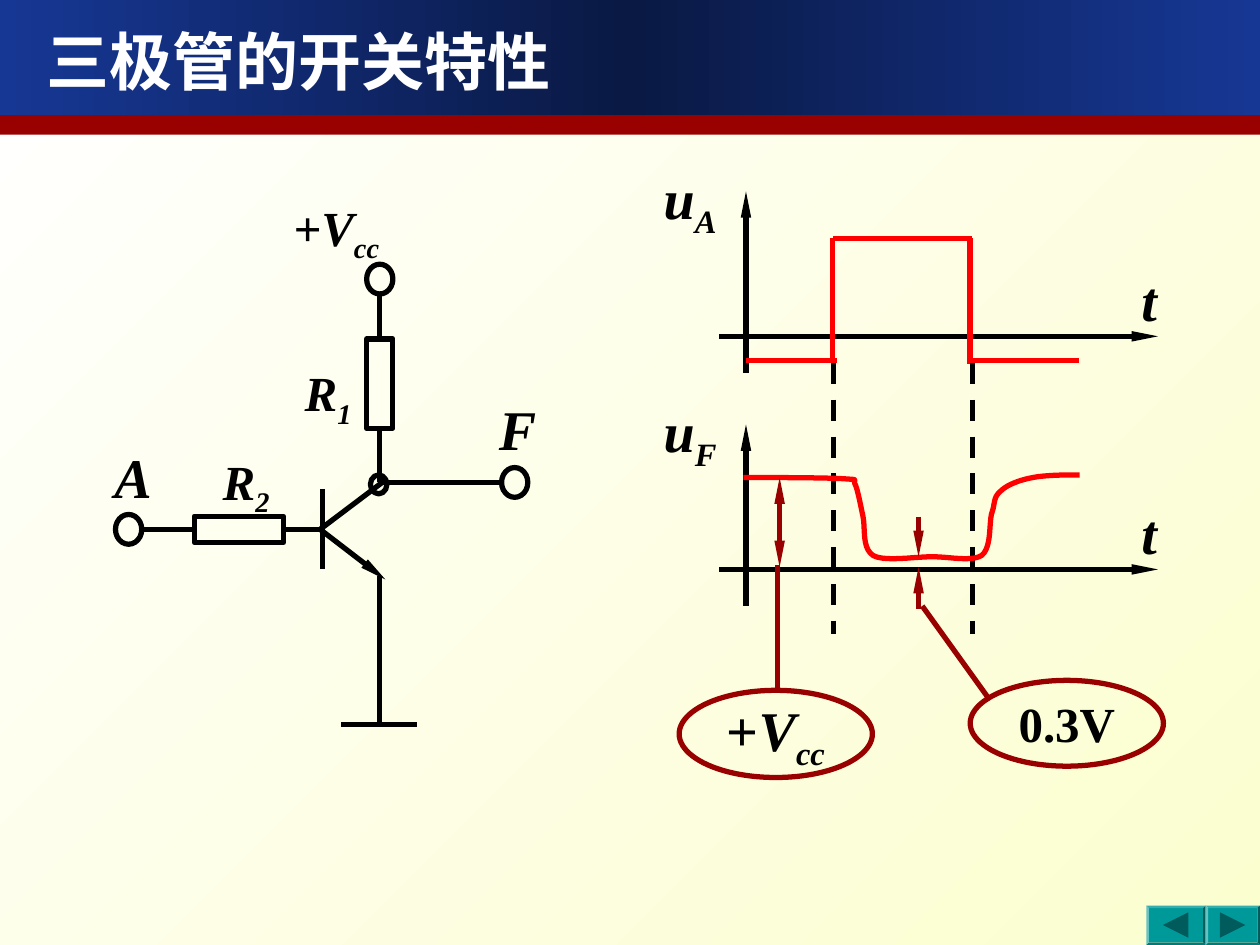
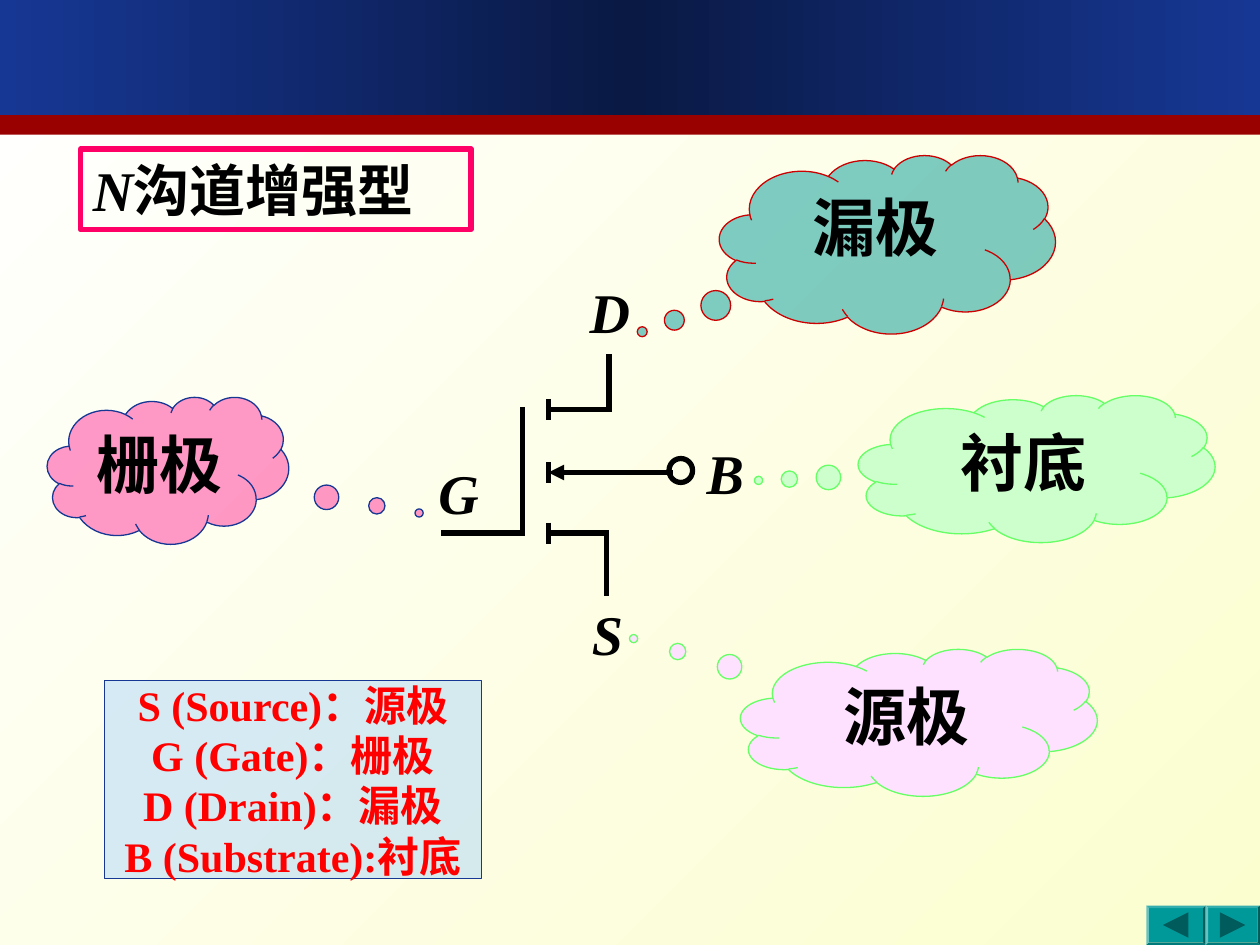
import copy
import dataclasses
import pptx
import pptx.dml.color
import pptx.enum.dml
import pptx.enum.shapes
import pptx.enum.text
import pptx.oxml.ns
import pptx.util
from lxml import etree

Pt = pptx.util.Pt
Shape = pptx.enum.shapes.MSO_SHAPE
Align = pptx.enum.text.PP_ALIGN
Anchor = pptx.enum.text.MSO_ANCHOR
qn = pptx.oxml.ns.qn
rgb = pptx.dml.color.RGBColor.from_string


@dataclasses.dataclass(frozen=True)
class Theme:
    font: str = "Times New Roman"
    black: str = "000000"
    white: str = "FFFFFF"
    cream: str = "FBFECE"
    navy: str = "163794"
    deep_navy: str = "0A1944"
    dark_red: str = "990000"
    red: str = "FF0000"
    cloud_red: str = "CC0000"
    pink: str = "FF0066"
    rose: str = "FF3399"
    lilac: str = "FEE1FF"
    teal: str = "009999"
    dark_teal: str = "005C5C"
    green: str = "66FF66"
    mint: str = "CCFFCC"
    sky: str = "99CCFF"
    title_size: int = 36
    label_size: int = 32
    part_size: int = 28
    legend_size: int = 24
    stroke: float = 3
    thin: float = 0.75


theme = Theme()


def draw_line(slide, start, end, color=theme.black, head=False, tail=False,
              dashed=False, arrow=("sm", "lg")):
    """Straight connector; arrow is the width and length of its arrowheads."""
    connector = slide.shapes.add_connector(
        pptx.enum.shapes.MSO_CONNECTOR.STRAIGHT, *map(Pt, start + end))
    connector.line.color.rgb = rgb(color)
    connector.line.width = Pt(theme.stroke)
    if dashed:
        connector.line.dash_style = pptx.enum.dml.MSO_LINE.DASH
    properties = connector._element.spPr
    for wanted, tag in ((head, "a:headEnd"), (tail, "a:tailEnd")):
        if wanted:
            etree.SubElement(properties.find(qn("a:ln")), qn(tag),
                             type="triangle", w=arrow[0], len=arrow[1])
    etree.SubElement(properties, qn("a:effectLst"))
    return connector


def draw_shape(slide, kind, box, fill=None, alpha=None, line=None, width=theme.stroke,
               text=(), size=theme.label_size, color=theme.black, italic=False,
               align=Align.LEFT, anchor=Anchor.TOP, wrap=True):
    """Preset shape, or a text box if kind is None.

    text holds paragraphs; each is a list of (words, font changes) runs.
    """
    box = [Pt(length) for length in box]
    if kind is None:
        shape = slide.shapes.add_textbox(*box)
    else:
        shape = slide.shapes.add_shape(kind, *box)
        shape.shadow.inherit = False
        shape.fill.background()
        shape.line.fill.background()
    if fill:
        shape.fill.solid()
        shape.fill.fore_color.rgb = rgb(fill)
    if alpha:
        fill_color = shape._element.spPr.find(qn("a:solidFill"))[0]
        etree.SubElement(fill_color, qn("a:alpha"), val=str(alpha * 1000))
    if line:
        shape.line.color.rgb = rgb(line)
        shape.line.width = Pt(width)
    frame = shape.text_frame
    frame.word_wrap = wrap
    frame.vertical_anchor = anchor
    for index, runs in enumerate(text):
        paragraph = frame.add_paragraph() if index else frame.paragraphs[0]
        paragraph.alignment = align
        paragraph.font.name = theme.font
        paragraph.font.size = Pt(size)
        paragraph.font.bold = True
        paragraph.font.italic = italic
        paragraph.font.color.rgb = rgb(color)
        for words, change in runs:
            run = paragraph.add_run()
            run.text = words
            if change == "subscript":
                run._r.get_or_add_rPr().set("baseline", "-25000")
            elif change == "upright":
                run.font.italic = False
    return shape


presentation = pptx.Presentation()
presentation.slide_width, presentation.slide_height = Pt(720), Pt(540)

# Shared background
background = presentation.slide_master.background.fill
background.gradient()
background.gradient_angle = 315
for stop, color in zip(background.gradient_stops, (theme.white, theme.cream)):
    stop.color.rgb = rgb(color)

# Shared bands and navigation buttons
blank_layout = presentation.slide_layouts[6]
switch_slide, mosfet_slide = [presentation.slides.add_slide(blank_layout) for _ in range(2)]
for slide in (switch_slide, mosfet_slide):
    band = draw_shape(slide, Shape.RECTANGLE, (0, 0, 720, 65.8))
    band.fill.gradient()
    band.fill.gradient_angle = 0
    for stop, color in zip(band.fill.gradient_stops, (theme.navy, theme.deep_navy)):
        stop.color.rgb = rgb(color)
    stops = band._element.spPr.find(qn("a:gradFill")).find(qn("a:gsLst"))
    stops.append(copy.deepcopy(stops[0]))
    for stop, position in zip(stops, (0, 50000, 100000)):
        stop.set("pos", str(position))
    draw_shape(slide, Shape.RECTANGLE, (0, 65.8, 720, 11.2), fill=theme.dark_red)
    for left, width, arrow_left, turn in ((655, 34, 664.5, 270), (689, 31, 697, 90)):
        button = draw_shape(slide, Shape.BEVEL, (left, 517.5, width, 22.5), fill=theme.teal)
        button.adjustments[0] = 0.065
        triangle = draw_shape(slide, Shape.ISOSCELES_TRIANGLE, (arrow_left, 521.3, 14.6, 14.6),
                              fill=theme.dark_teal)
        triangle.rotation = turn

# Slide 1: title
slide = switch_slide
draw_shape(slide, None, (19.4, 9.4, 322, 50.4), text=[[("三极管的开关特性", None)]],
           size=theme.title_size, color=theme.white)

# Transistor, wires and ground
for start, end in (
    ((184.3, 279.4), (184.3, 325.4)),
    ((182.9, 302.5), (220.3, 274.3)),
    ((216, 275.7), (286.6, 275.7)),
    ((217, 329), (217, 414)),
    ((195, 414), (238.3, 414)),
):
    draw_line(slide, start, end)
draw_line(slide, (182.9, 302.5), (220.3, 331.2), tail=True)

# Collector node and the terminals A, F and supply
for box in ((211.7, 271.4, 9.4, 10.8), (66, 294, 15, 17),
            (286.6, 267.2, 15, 17), (209.5, 151, 15, 17)):
    draw_shape(slide, Shape.OVAL, box, line=theme.black)

# Resistors joined to their leads
collector_resistor = draw_shape(slide, Shape.RECTANGLE, (209.5, 193.7, 15, 51), line=theme.black)
base_resistor = draw_shape(slide, Shape.RECTANGLE, (111, 295, 51, 15), line=theme.black)
for resistor, side, start, end in (
    (collector_resistor, 0, (217, 168), (217, 193.7)),
    (collector_resistor, 2, (217, 275.7), (217, 244.7)),
    (base_resistor, 1, (81, 302.5), (111, 302.5)),
    (base_resistor, 3, (182.9, 302.5), (162, 302.5)),
):
    draw_line(slide, start, end).end_connect(resistor, side)

# Circuit labels
for words, subscript, size, box in (
    ("R", "1", theme.part_size, (167, 203.8, 46.8, 45.4)),
    ("R", "2", theme.part_size, (120.2, 254.2, 46.8, 45.4)),
    ("+V", "cc", theme.part_size, (160.6, 109.4, 90, 45.4)),
    ("A", "", theme.label_size, (58.3, 249.1, 36.7, 46)),
    ("F", "", theme.label_size, (278, 221.8, 47.5, 46)),
):
    runs = [(words, None)] + ([(subscript, "subscript")] if subscript else [])
    draw_shape(slide, None, box, text=[runs], size=size, italic=True)

# Axes of the input and output waveforms
for axis_y, signal in ((192.2, "A"), (325.4, "F")):
    draw_line(slide, (411.1, axis_y), (661.7, axis_y), tail=True)
    draw_line(slide, (426.3, axis_y + 20.9), (426.3, axis_y - 82.8), tail=True)
    draw_shape(slide, None, (372.2, axis_y - 102.2, 57, 51), italic=True,
               text=[[("u", None), (signal, "subscript")]])
    draw_shape(slide, None, (645.1, axis_y - 43.8, 74.9, 46), italic=True,
               text=[[("t", None)]])

# Input pulse
for start, end in (
    ((426.3, 205.9), (478.5, 205.9)),
    ((475.9, 206.8), (475.9, 136)),
    ((475.9, 136.5), (555.3, 136.5)),
    ((554.3, 136), (554.3, 207.8)),
    ((553.7, 205.9), (616.5, 205.9)),
):
    draw_line(slide, start, end, color=theme.red)
for edge_x in (476.2, 555.7):
    draw_line(slide, (edge_x, 207.4), (edge_x, 362.2), dashed=True)

# Output curve: cubic segments, each two controls and an end point
curve_start = (424.8, 272.9)
curve_segments = (
    ((434.2, 272.9), (470.9, 272.9), (481.7, 273.6)),
    ((492.5, 274.3), (486.7, 273.6), (488.9, 277.2)),
    ((490.3, 280.8), (491.8, 288.7), (493.2, 295.2)),
    ((494.6, 302.4), (492.5, 313.2), (499, 317.5)),
    ((505.4, 321.1), (522, 318.2), (532.8, 318.2)),
    ((542.9, 318.2), (555.1, 321.1), (560.9, 317.5)),
    ((566.6, 313.2), (565.2, 300.2), (566.6, 293.8)),
    ((568.8, 288), (567.4, 284.4), (571.7, 280.8)),
    ((575.3, 277.2), (582.5, 274.3), (590.4, 272.9)),
    ((597.6, 271.4), (611.3, 271.4), (617, 271.4)),
)
steps = 10
points = []
segment_start = curve_start
for control_1, control_2, segment_end in curve_segments:
    for step in range(1, steps + 1):
        t = step / steps
        weights = ((1 - t) ** 3, 3 * t * (1 - t) ** 2, 3 * t * t * (1 - t), t ** 3)
        corners = (segment_start, control_1, control_2, segment_end)
        points.append([Pt(sum(w * corner[axis] for w, corner in zip(weights, corners)))
                       for axis in (0, 1)])
    segment_start = segment_end
builder = slide.shapes.build_freeform(*map(Pt, curve_start))
builder.add_line_segments(points, close=False)
output_curve = builder.convert_to_shape()
output_curve.shadow.inherit = False
output_curve.fill.background()
output_curve.line.color.rgb = rgb(theme.red)
output_curve.line.width = Pt(theme.stroke)

# Output level markers
for start, end, head, tail in (
    ((445.5, 272.9), (445.5, 324), True, True),
    ((444.3, 322.6), (444.3, 393.5), False, False),
    ((524.9, 295.2), (524.9, 318.2), False, True),
    ((524.9, 347.8), (524.9, 324), False, True),
    ((527, 346.3), (565.6, 400), False, False),
):
    draw_line(slide, start, end, color=theme.dark_red, head=head, tail=tail)
for box, runs, size, italic in (
    ((388.1, 394.5, 110.4, 49.8), [("+", "upright"), ("V", None), ("cc", "subscript")],
     theme.label_size, True),
    ((554.4, 388.8, 110.4, 49), [("0.3V", None)], theme.part_size, False),
):
    draw_shape(slide, Shape.OVAL, box, line=theme.dark_red, text=[runs], size=size,
               italic=italic, align=Align.CENTER, anchor=Anchor.MIDDLE, wrap=False)

# Slide 2: type label
slide = mosfet_slide
draw_shape(slide, Shape.RECTANGLE, (46, 85.2, 223.2, 46), line=theme.pink, italic=True,
           text=[[("N", None), ("沟道增强型", "upright")]])

# Electrode clouds with their callout tips
for words, box, tip, fill, alpha, line in (
    ("源极", (423.2, 370.8, 203.8, 84), (-0.8, -0.57), theme.lilac, None, theme.green),
    ("栅极", (27, 226.8, 138, 84), (1.04, 0.29), theme.rose, 50, theme.navy),
    ("漏极", (411.1, 88.6, 192, 102), (-0.73, 0.49), theme.teal, 50, theme.cloud_red),
    ("衬底", (490.5, 225.8, 203.8, 84), (-0.78, 0.08), theme.mint, None, theme.green),
):
    cloud = draw_shape(slide, Shape.CLOUD_CALLOUT, box, fill=fill, alpha=alpha, line=line,
                       width=theme.thin, text=[[(words, None)]], size=theme.title_size,
                       align=Align.CENTER)
    cloud.adjustments[0], cloud.adjustments[1] = tip

# Legend
legend = ("S (Source)：源极", "G (Gate)：栅极", "D (Drain)：漏极", "B (Substrate):衬底")
draw_shape(slide, Shape.RECTANGLE, (59.8, 389, 215.2, 113.2), fill=theme.sky, alpha=40,
           line=theme.navy, width=theme.thin, text=[[(entry, None)] for entry in legend],
           size=theme.legend_size, color=theme.red, align=Align.CENTER,
           anchor=Anchor.MIDDLE, wrap=False)

# MOSFET symbol: gate, channel ticks, drain and source
for start, end in (
    ((298.6, 232.6), (298.6, 305.5)),
    ((300, 304.6), (252, 304.6)),
    ((312, 234), (349.4, 234)),
    ((313.4, 304.6), (348, 304.6)),
    ((348, 235.2), (348, 202.5)),
    ((346.5, 303.3), (346.5, 340.6)),
):
    draw_line(slide, start, end)
for tick_y in (234, 270, 304.6):
    draw_line(slide, (313.4, tick_y - 6), (313.4, tick_y + 6))
draw_line(slide, (313.4, 270), (384.5, 270), head=True, arrow=("med", "med"))
draw_shape(slide, Shape.OVAL, (382.3, 262, 13.5, 13.7), line=theme.black)

# Electrode letters
for letter, left, top in (("G", 243.4, 258.5), ("S", 331.2, 339.1),
                          ("D", 329.8, 154.8), ("B", 396.7, 247)):
    draw_shape(slide, None, (left, top, 52, 46), text=[[(letter, None)]], italic=True)

presentation.save("out.pptx")
